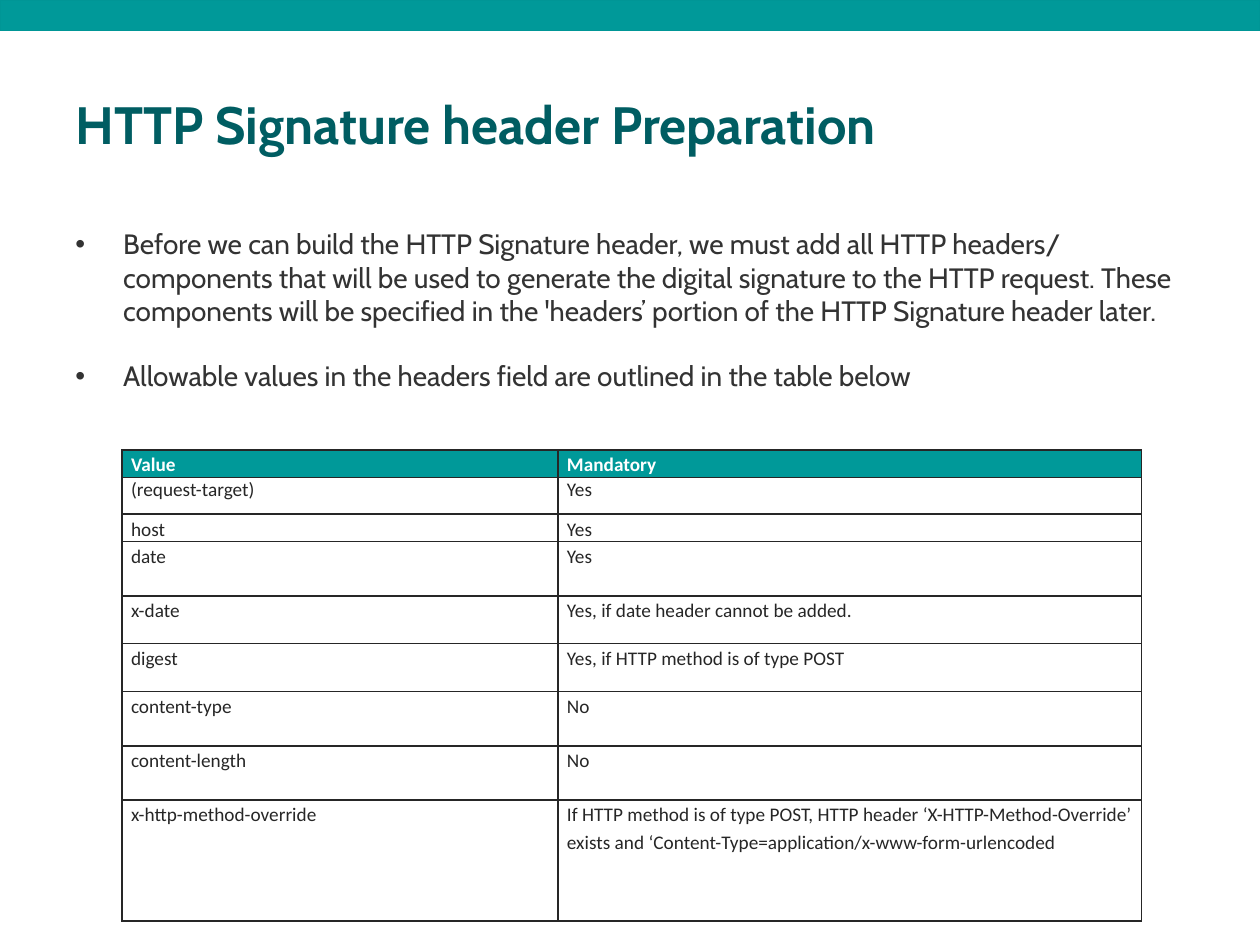
from lxml import etree
from pptx import Presentation
from pptx.dml.color import RGBColor
from pptx.enum import shapes, text
from pptx.oxml.ns import qn
from pptx.util import Inches, Pt

TITLE = "HTTP Signature header Preparation"
POINTS = [
    "Before we can build the HTTP Signature header, we must add all HTTP headers/ "
    "components that will be used to generate the digital signature to the HTTP request. "
    "These components will be specified in the 'headers’ portion of the HTTP Signature "
    "header later.",
    "Allowable values in the headers field are outlined in the table below",
]
# value, mandatory, row height
ROWS = [
    ("Value", "Mandatory", 0.22),
    ("(request-target)", "Yes", 0.29),
    ("host", "Yes", 0.22),
    ("date", "Yes", 0.43),
    ("x-date", "Yes, if date header cannot be added.", 0.38),
    ("digest", "Yes, if HTTP method is of type POST", 0.38),
    ("content-type", "No", 0.43),
    ("content-length", "No", 0.43),
    ("x-http-method-override",
     "If HTTP method is of type POST, HTTP header ‘X-HTTP-Method-Override’ exists and "
     "‘Content-Type=application/x-www-form-urlencoded", 0.96),
]
COLS = [3.46, 4.63]
TEAL, INK = "009999", "262626"
HEAD = {"name": "Cabin", "size": Pt(30), "bold": True}
BODY = {"name": "Cabin", "size": Pt(16)}
CELL = {"name": "Calibri", "size": Pt(11)}


def paint(fmt, color):
    fmt.solid()
    fmt.fore_color.rgb = RGBColor.from_string(color)


def write(para, words, font, color):
    run = para.add_run()
    run.text = words
    for key, val in font.items():
        setattr(run.font, key, val)
    paint(run.font.fill, color)


def add_box(slide, *place):
    box = slide.shapes.add_textbox(*map(Inches, place))
    frame = box.text_frame
    frame.word_wrap = True
    frame.auto_size = text.MSO_AUTO_SIZE.NONE
    return frame


def add_bullet(para):
    props = para._p.get_or_add_pPr()
    props.set("marL", str(Inches(0.38)))
    props.set("indent", str(-Inches(0.38)))
    etree.SubElement(props, qn("a:buFont"), typeface="Arial")
    etree.SubElement(props, qn("a:buChar"), char="•")


def add_edges(cell):
    """Draw the four borders; they must come before the cell's fill."""
    props = cell._tc.get_or_add_tcPr()
    for spot, side in enumerate(("lnL", "lnR", "lnT", "lnB")):
        line = etree.Element(qn("a:" + side), w=str(Pt(1)))
        fill = etree.SubElement(line, qn("a:solidFill"))
        etree.SubElement(fill, qn("a:srgbClr"), val=INK)
        props.insert(spot, line)


def add_grid(slide):
    high = sum(row[-1] for row in ROWS)
    place = map(Inches, (0.97, 3.57, sum(COLS), high))
    table = slide.shapes.add_table(len(ROWS), len(COLS), *place).table
    table.horz_banding = False
    for col, wide in zip(table.columns, COLS):
        col.width = Inches(wide)
    for r, (*words, tall) in enumerate(ROWS):
        table.rows[r].height = Inches(tall)
        for c, word in enumerate(words):
            cell = table.cell(r, c)
            cell.margin_left = cell.margin_right = Inches(0.07)
            cell.margin_top = cell.margin_bottom = 0
            para = cell.text_frame.paragraphs[0]
            para.line_spacing = 1 if r == 1 else 1.15
            write(para, word, {**CELL, "bold": r == 0}, INK if r else "FFFFFF")
            if r:
                cell.fill.background()
            else:
                paint(cell.fill, TEAL)
            add_edges(cell)


def main():
    prs = Presentation()
    prs.slide_width, prs.slide_height = Inches(10), Inches(7.5)
    slide = prs.slides.add_slide(prs.slide_layouts[6])

    band = slide.shapes.add_shape(shapes.MSO_SHAPE.RECTANGLE, 0, 0,
                                  prs.slide_width, Inches(0.24))
    band.shadow.inherit = False
    paint(band.fill, TEAL)
    paint(band.line.fill, "009696")
    band.line.width = Pt(0.75)

    title = add_box(slide, 0.5, 0.66, 9, 0.71)
    title.margin_top = Inches(0.07)
    write(title.paragraphs[0], TITLE, HEAD, "005D62")

    body = add_box(slide, 0.5, 1.75, 9, 4.95)
    for i, point in enumerate(POINTS):
        para = body.add_paragraph() if i else body.paragraphs[0]
        para.space_before = Pt(18 if i else 0)
        add_bullet(para)
        write(para, point, BODY, "333333")

    add_grid(slide)
    prs.save("out.pptx")


if __name__ == "__main__":
    main()
